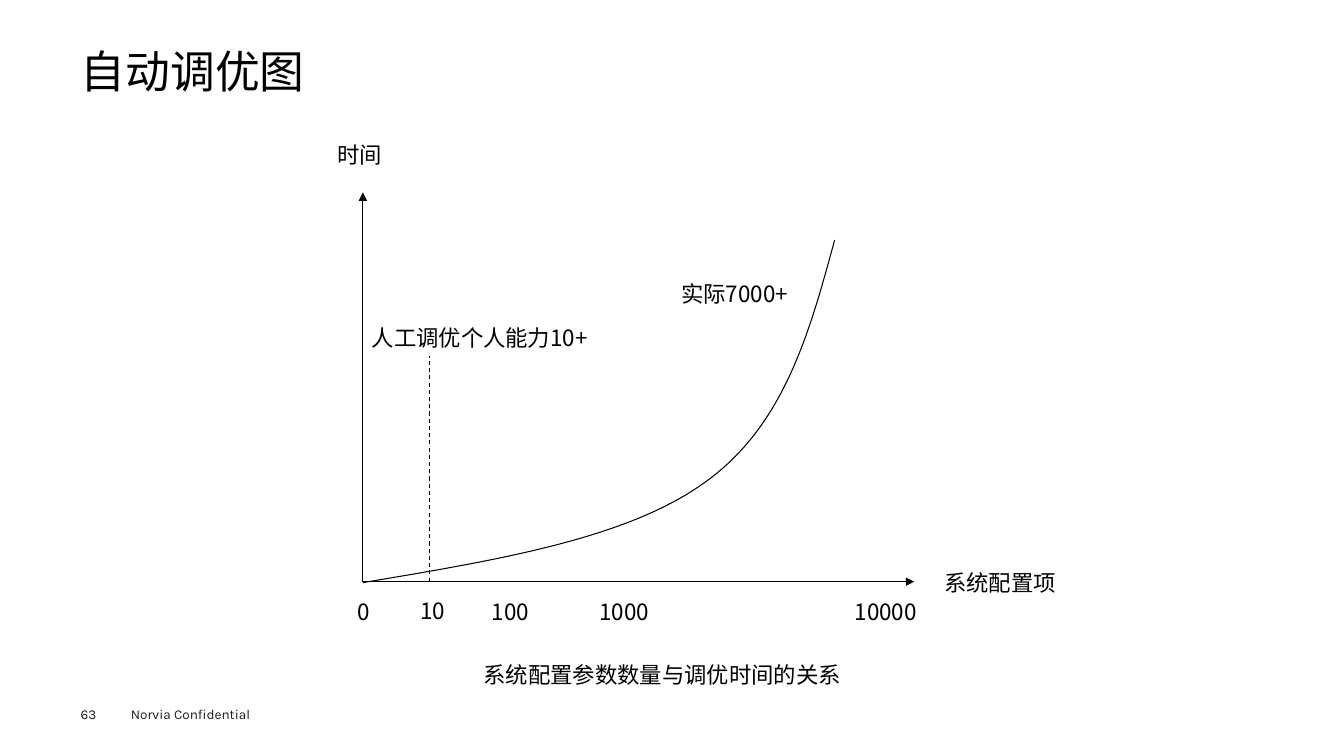
from dataclasses import dataclass

from lxml.etree import SubElement
from pptx import Presentation
from pptx.dml.color import RGBColor
from pptx.enum.dml import MSO_LINE as Dash
from pptx.enum.shapes import MSO_CONNECTOR as Conn
from pptx.enum.text import MSO_ANCHOR as Anchor
from pptx.oxml.ns import qn
from pptx.util import Pt


@dataclass
class Theme:
    ink: RGBColor = RGBColor(0, 0, 0)
    gray: RGBColor = RGBColor(0x1D, 0x1D, 0x1B)
    sans: str = "Noto Sans CJK SC"
    latin: str = "Karla"
    title: float = 32
    label: float = 16
    foot: float = 9.7
    line: float = 0.75


theme = Theme()
deck = Presentation()
deck.slide_width, deck.slide_height = Pt(960), Pt(540)
slide = deck.slides.add_slide(deck.slide_layouts[6])
shapes = slide.shapes


def add_text(text, x, y, w, h, size=theme.label, color=theme.ink,
             face=theme.sans, anchor=Anchor.MIDDLE, pad=True, space=None):
    frame = shapes.add_textbox(Pt(x), Pt(y), Pt(w), Pt(h)).text_frame
    frame.word_wrap = True
    frame.vertical_anchor = anchor
    if not pad:
        frame.margin_left = frame.margin_right = 0
        frame.margin_top = frame.margin_bottom = 0
    para = frame.paragraphs[0]
    para.line_spacing = space
    run = para.add_run()
    run.text = text
    font = run.font
    font.size, font.name = Pt(size), face
    font.color.rgb = color
    # East Asian letters need their own typeface entry
    SubElement(font._element, qn("a:ea"), typeface=face)


def add_line(x1, y1, x2, y2, dash=None, arrow=False):
    link = shapes.add_connector(Conn.STRAIGHT, Pt(x1), Pt(y1), Pt(x2), Pt(y2))
    link.line.color.rgb = theme.ink
    link.line.width = Pt(theme.line)
    if dash:
        link.line.dash_style = dash
    if arrow:
        SubElement(link.line._get_or_add_ln(), qn("a:tailEnd"), type="triangle")
    SubElement(link._element.spPr, qn("a:effectLst"))


# Title and footer
add_text("自动调优图", 57.6, 35.3, 844.6, 38.9, size=theme.title,
         anchor=Anchor.TOP, pad=False, space=0.9)
foot = dict(size=theme.foot, color=theme.gray, face=theme.latin,
            anchor=Anchor.TOP)
add_text("63", 57.6, 504, 39.6, 11.5, pad=False, **foot)
add_text("Norvia Confidential", 86.4, 500.4, 115.2, 19.4, **foot)

# Axes and the mark for manual tuning
left, base = 259.2, 415.5
add_line(left, base, 653, base, arrow=True)
add_line(left, base, left, 137.5, arrow=True)
add_line(306.7, base, 306.7, 254.2, dash=Dash.DASH)

# Growth curve, sampled from two cubic pieces
knots = [(259.2, 416.2), (353.5, 400.3), (447.8, 385.2), (504, 344.2),
         (560.2, 303.8), (578.2, 237.6), (596.2, 171.4)]
steps = 40
dots = []
for first in (0, 3):
    piece = knots[first:first + 4]
    for step in range(1, steps + 1):
        t = step / steps
        mix = ((1 - t) ** 3, 3 * t * (1 - t) ** 2, 3 * t * t * (1 - t), t ** 3)
        dots.append(tuple(Pt(sum(m * knot[axis] for m, knot in zip(mix, piece)))
                          for axis in (0, 1)))
path = shapes.build_freeform(Pt(knots[0][0]), Pt(knots[0][1]))
path.add_line_segments(dots, close=False)
curve = path.convert_to_shape()
curve.shadow.inherit = False
curve.fill.background()
curve.line.color.rgb = theme.ink
curve.line.width = Pt(theme.line)

# Scale, axis names, notes and caption
labels = [
    ("0", 248.4, 423.4, 23.8),
    ("10", 293, 422.6, 36.7),
    ("100", 344.2, 423.4, 49.7),
    ("1000", 421.2, 423.4, 52.6),
    ("10000", 603.4, 423.4, 67),
    ("系统配置项", 667.4, 402.5, 99.4),
    ("时间", 234, 97.2, 49.7),
    ("人工调优个人能力10+", 258.5, 227.5, 180),
    ("实际7000+", 479.5, 196.2, 105),
    ("系统配置参数数量与调优时间的关系", 338.4, 468.7, 276),
]
for text, x, y, w in labels:
    add_text(text, x, y, w, 26.6)

deck.save("out.pptx")
